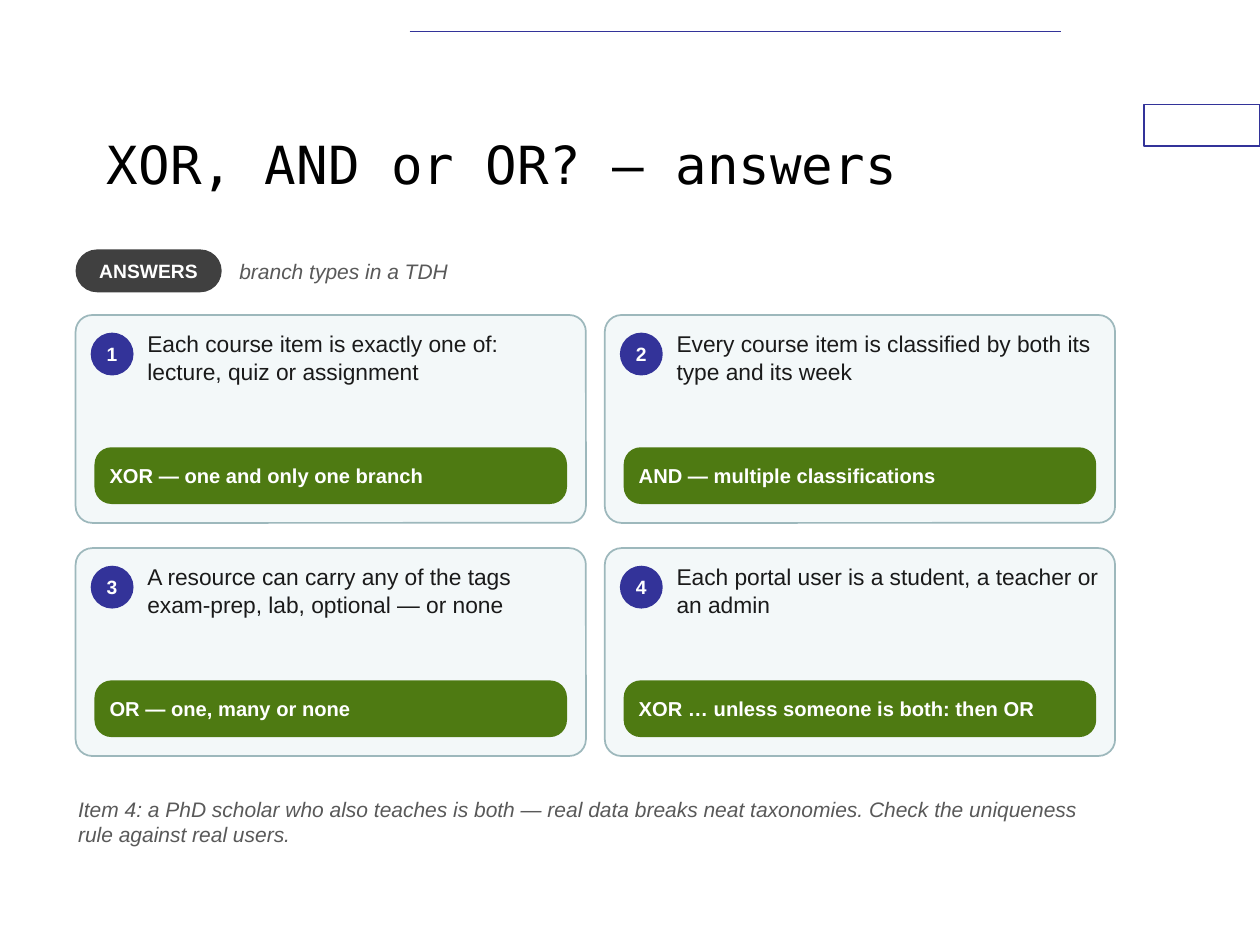
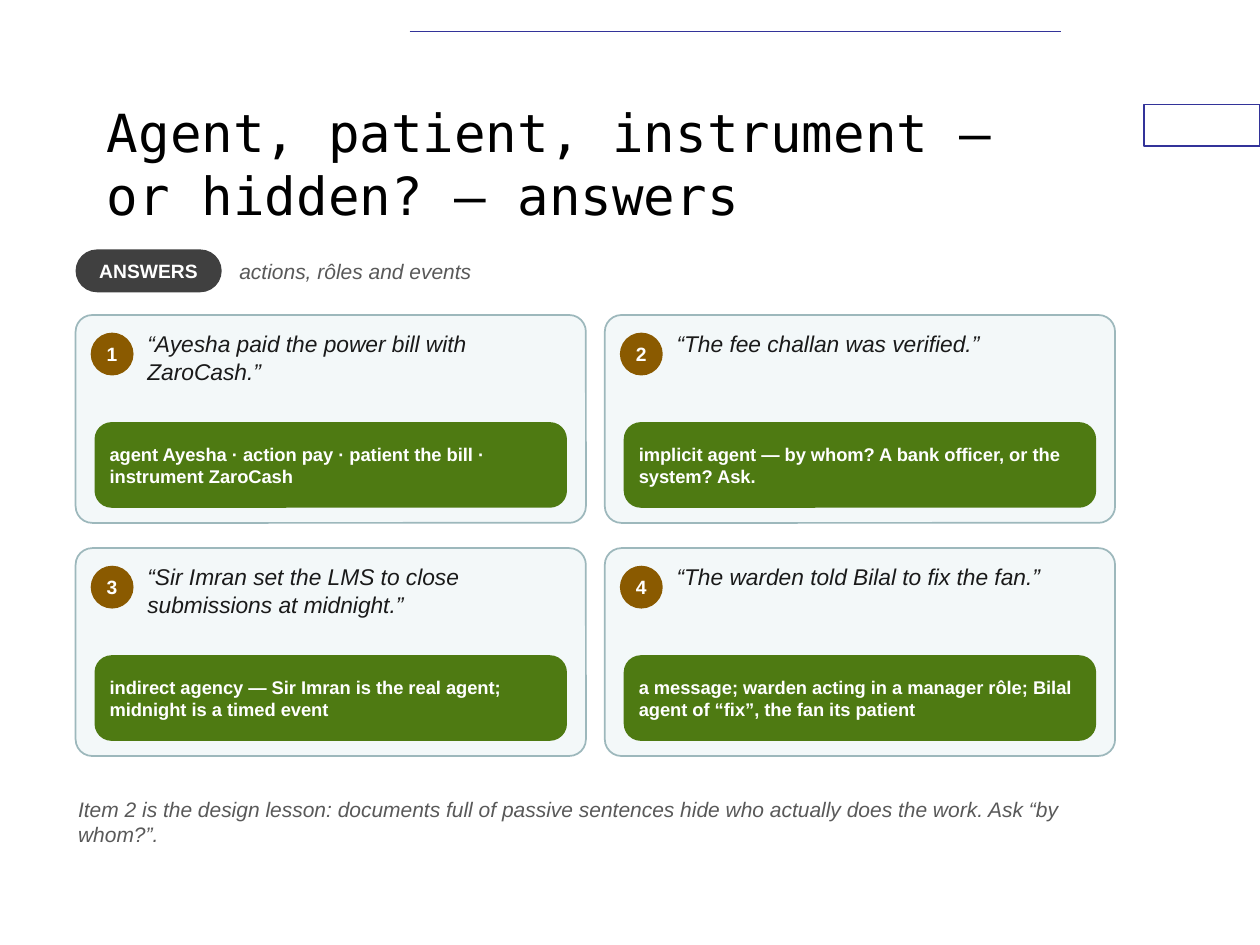
from collections import namedtuple

from pptx import Presentation
from pptx.dml.color import RGBColor
from pptx.enum.shapes import MSO_CONNECTOR as Link, MSO_SHAPE as Kind
from pptx.enum.text import MSO_ANCHOR as Anchor, PP_ALIGN as Align
from pptx.oxml.ns import qn
from pptx.util import Inches, Pt

WIDE, HIGH = 10, 7.5
SANS, MONO = "Arial", "DejaVu Sans Mono"
BLACK, WHITE, INK, GREY = "000000", "FFFFFF", "1A1A1A", "595959"
BLUE, BROWN, GREEN, DARK = "333399", "8A5A00", "4E7A12", "404040"
PALE, EDGE = "F3F8F9", "9DB8BC"

# Card grid: left and top edge, card size, gaps between columns and rows
LEFT, TOP = 0.6, 2.5
CARD_W, CARD_H = 4.05, 1.65
GAP_X, GAP_Y = 0.15, 0.2
COLS = 2

# Look of the cards on one slide; bar_y is measured from the card's top
Style = namedtuple("Style", "badge italic ask_h bar_y bar_h bar_adj bar_size")
BRANCH = Style(BLUE, False, 0.85, 1.05, 0.45, 0.3, 11.5)
ROLES = Style(BROWN, True, 0.7, 0.85, 0.68, 0.2, 10.5)

SLIDES = [
    ("XOR, AND or OR? — answers", "branch types in a TDH", BRANCH, [
        ("Each course item is exactly one of: lecture, quiz or assignment",
         "XOR — one and only one branch"),
        ("Every course item is classified by both its type and its week",
         "AND — multiple classifications"),
        ("A resource can carry any of the tags exam-prep, lab, optional — or none",
         "OR — one, many or none"),
        ("Each portal user is a student, a teacher or an admin",
         "XOR … unless someone is both: then OR"),
    ], "Item 4: a PhD scholar who also teaches is both — real data breaks neat "
       "taxonomies. Check the uniqueness rule against real users."),
    ("Agent, patient, instrument — or hidden? — answers",
     "actions, rôles and events", ROLES, [
        ("“Ayesha paid the power bill with ZaroCash.”",
         "agent Ayesha · action pay · patient the bill · instrument ZaroCash"),
        ("“The fee challan was verified.”",
         "implicit agent — by whom? A bank officer, or the system? Ask."),
        ("“Sir Imran set the LMS to close submissions at midnight.”",
         "indirect agency — Sir Imran is the real agent; midnight is a timed event"),
        ("“The warden told Bilal to fix the fan.”",
         "a message; warden acting in a manager rôle; Bilal agent of “fix”, "
         "the fan its patient"),
    ], "Item 2 is the design lesson: documents full of passive sentences hide "
       "who actually does the work. Ask “by whom?”."),
]


def rgb(code):
    return RGBColor.from_string(code)


def shape(slide, kind, area, fill, line=None, width=1, adj=None):
    item = slide.shapes.add_shape(kind, *map(Inches, area))
    item.shadow.inherit = False
    item.fill.solid()
    item.fill.fore_color.rgb = rgb(fill)
    if line:
        item.line.color.rgb = rgb(line)
        item.line.width = Pt(width)
    else:
        item.line.fill.background()
    if adj is not None:
        item.adjustments[0] = adj
    return item


def write(item, text, size, color, face=SANS, bold=False, italic=False,
          inset=(0.02, 0.02), anchor=Anchor.TOP, align=Align.LEFT):
    """Fill a shape with one paragraph; inset is (sides, top and bottom)."""
    frame = item.text_frame
    frame.text = text
    frame.word_wrap = True
    frame.vertical_anchor = anchor
    frame.margin_left = frame.margin_right = Inches(inset[0])
    frame.margin_top = frame.margin_bottom = Inches(inset[1])
    para = frame.paragraphs[0]
    para.alignment = align
    for run in para.runs:
        font = run.font
        font.name, font.size = face, Pt(size)
        font.bold, font.italic = bold, italic
        font.color.rgb = rgb(color)


def label(slide, area, text, size, color, **look):
    write(slide.shapes.add_textbox(*map(Inches, area)), text, size, color, **look)


def mark(item, text, inset):
    """Write short white text in the middle of a pill or badge."""
    write(item, text, 11, WHITE, bold=True, inset=(inset, inset),
          anchor=Anchor.MIDDLE, align=Align.CENTER)


def frame_page(slide, title):
    """Draw the side tab, top rule and title that every slide has."""
    shape(slide, Kind.RECTANGLE, (WIDE - 0.92, 0.83, 0.92, 0.33),
          WHITE, BLUE, 0.75)
    rule = slide.shapes.add_connector(
        Link.STRAIGHT, *map(Inches, (3.25, 0.25, 8.42, 0.25)))
    rule.line.color.rgb = rgb(BLUE)
    rule.line.width = Pt(1)
    props = rule._element.spPr
    props.append(props.makeelement(qn("a:effectLst"), {}))
    label(slide, (0.75, 0.67, 7.5, 1.25), title, 30, BLACK, face=MONO,
          inset=(0.1, 0.05), anchor=Anchor.MIDDLE)


def header(slide, topic):
    pill = shape(slide, Kind.ROUNDED_RECTANGLE, (LEFT, 1.98, 1.16, 0.34),
                 DARK, adj=0.5)
    mark(pill, "ANSWERS", 0.03)
    label(slide, (1.88, 1.98, 7.03, 0.34), topic, 12, GREY, italic=True,
          anchor=Anchor.MIDDLE)


def card(slide, index, ask, answer, style):
    row, col = divmod(index, COLS)
    x = LEFT + col * (CARD_W + GAP_X)
    y = TOP + row * (CARD_H + GAP_Y)
    shape(slide, Kind.ROUNDED_RECTANGLE, (x, y, CARD_W, CARD_H),
          PALE, EDGE, adj=0.08)
    badge = shape(slide, Kind.OVAL, (x + 0.12, y + 0.14, 0.34, 0.34), style.badge)
    mark(badge, str(index + 1), 0)
    label(slide, (x + 0.55, y + 0.1, CARD_W - 0.65, style.ask_h), ask, 13, INK,
          italic=style.italic)
    bar = shape(slide, Kind.ROUNDED_RECTANGLE,
                (x + 0.15, y + style.bar_y, CARD_W - 0.3, style.bar_h),
                GREEN, adj=style.bar_adj)
    write(bar, answer, style.bar_size, WHITE, bold=True, inset=(0.08, 0.08),
          anchor=Anchor.MIDDLE)


def main():
    deck = Presentation()
    deck.slide_width, deck.slide_height = Inches(WIDE), Inches(HIGH)
    for title, topic, style, pairs, note in SLIDES:
        slide = deck.slides.add_slide(deck.slide_layouts[6])
        frame_page(slide, title)
        header(slide, topic)
        for index, (ask, answer) in enumerate(pairs):
            card(slide, index, ask, answer, style)
        label(slide, (LEFT, 6.3, 8.3, 0.5), note, 12, GREY, italic=True)
    deck.save("out.pptx")


if __name__ == "__main__":
    main()
